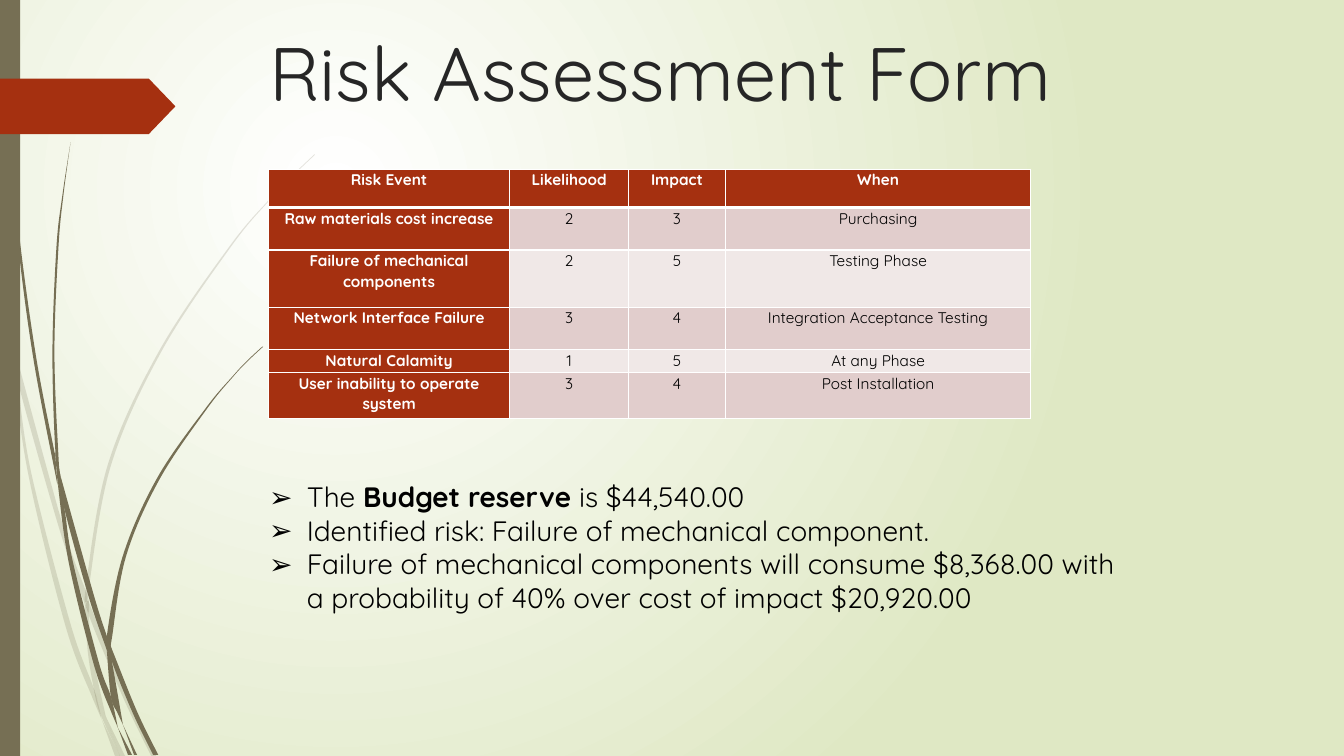
from pptx import Presentation
from pptx import util as u
from pptx.dml.color import RGBColor
from pptx.enum import shapes, text
from pptx.oxml import parse_xml
from pptx.oxml.ns import nsdecls, qn

GRID = u.Inches(0.01)
COLUMNS, ROWS = 1333, 750
FONT = "Quicksand"
WHITE = RGBColor(0xFF, 0xFF, 0xFF)
BLACK = RGBColor(0, 0, 0)
TITLE_INK = RGBColor(0x26, 0x26, 0x26)
PALE_GREEN = RGBColor(0xDF, 0xE8, 0xC4)
OLIVE = RGBColor(0x76, 0x6F, 0x54)
RUST = RGBColor(0xA5, 0x30, 0x10)
BANDS = [RGBColor(0xE1, 0xCD, 0xCC), RGBColor(0xF0, 0xE8, 0xE7)]

FAINT_WISPS = [
    ([(11, 350), (9, 322), (0, 282)], [(0, 299), (10, 344), (11, 350)]),
    ([(14, 345), (62, 520), (85, 586)], [(84, 599), (58, 522), (17, 376), (14, 345)]),
    ([(88, 596), (92, 607), (127, 692), (155, 750)], [(150, 750), (123, 694), (88, 610), (88, 596)]),
    ([(105, 711), (124, 750)], [(119, 750), (105, 711)]),
    ([(11, 350), (17, 376), (31, 469), (70, 619), (93, 683), (101, 714)],
     [(92, 693), (65, 621), (28, 470), (11, 350)]),
    ([(84, 599), (88, 610), (91, 646), (105, 711)], [(96, 692), (93, 683), (87, 646), (84, 599)]),
    ([(88, 596), (88, 584), (110, 462), (160, 349), (229, 245), (268, 198), (290, 175), (312, 154)],
     [(312, 153), (289, 175), (268, 197), (228, 244), (158, 348), (107, 461), (85, 584), (88, 596)]),
    ([(101, 714), (114, 750)], [(119, 750), (101, 714)]),
    ([(88, 608), (88, 596), (85, 586)], [(84, 599), (88, 608)]),
    ([(93, 683), (99, 707), (119, 750)], [(105, 711), (96, 692), (93, 683)]),
]
SOLID_WISPS = [
    ([(3, 0), (4, 48), (7, 110), (17, 233), (33, 355), (57, 481)],
     [(55, 453), (36, 355), (19, 232), (8, 109), (5, 48), (4, 0)]),
    ([(60, 472), (93, 590), (106, 631)], [(106, 645), (88, 592), (64, 505), (60, 472)]),
    ([(110, 641), (113, 649), (136, 706), (157, 749)], [(152, 749), (132, 708), (111, 656), (110, 641)]),
    ([(57, 477), (64, 505), (72, 556), (98, 657), (110, 691), (117, 722)],
     [(111, 708), (93, 659), (68, 557), (57, 477)]),
    ([(60, 472), (58, 453), (54, 349), (58, 245), (63, 193), (70, 141)],
     [(70, 141), (62, 193), (56, 245), (52, 349), (55, 449), (60, 472)]),
    ([(122, 719), (136, 749)], [(133, 749), (122, 719)]),
    ([(57, 477), (64, 505), (60, 472)], [(60, 472), (55, 449), (57, 477)]),
    ([(110, 641), (111, 633), (125, 552), (158, 476), (205, 406), (231, 374), (245, 359), (261, 344)],
     [(260, 344), (245, 358), (231, 373), (204, 405), (156, 474), (122, 551), (106, 631), (110, 641)]),
    ([(117, 722), (127, 749)], [(131, 749), (117, 722)]),
    ([(106, 645), (109, 651), (111, 656), (122, 719)], [(116, 706), (110, 691), (106, 645)]),
    ([(106, 645), (111, 656), (110, 641)], [(106, 631), (106, 645)]),
]

RISKS = [
    ["Risk Event", "Likelihood", "Impact", "When"],
    ["Raw materials cost increase", "2", "3", "Purchasing"],
    ["Failure of mechanical components", "2", "5", "Testing Phase"],
    ["Network Interface Failure", "3", "4", "Integration Acceptance Testing"],
    ["Natural Calamity", "1", "5", "At any Phase"],
    ["User inability to operate system", "3", "4", "Post Installation"],
]
RISK_COLUMNS = [239, 118, 96, 303]
RISK_ROWS = [38, 42, 57, 42, 23, 45]
BUDGET_NOTES = [
    [("The ", False), ("Budget reserve ", True), ("is $44,540.00", False)],
    [("Identified risk: Failure of mechanical component.", False)],
    [("Failure of mechanical components will consume $8,368.00 with a probability of 40% "
      "over cost of impact $20,920.00", False)],
]


def grid(*counts):
    """Turn counts of grid steps into lengths."""
    return [u.Emu(round(count * GRID)) for count in counts]


def set_font(paragraph, size, color, bold=None):
    """Set the common font of a paragraph."""
    font = paragraph.font
    font.name, font.size, font.bold = FONT, u.Pt(size), bold
    font.color.rgb = color


def paint(shape, color, alpha=None):
    """Fill a shape flatly, without line or shadow."""
    shape.shadow.inherit = False
    shape.fill.solid()
    shape.fill.fore_color.rgb = color
    shape.line.fill.background()
    if alpha:
        tint = shape.element.spPr.find(".//" + qn("a:srgbClr"))
        tint.append(parse_xml(f'<a:alpha {nsdecls("a")} val="{alpha * 1000}"/>'))


def paint_background(slide):
    """Fill the background with a circular gradient."""
    fill = slide.background.fill
    fill.gradient()
    for stop, color in zip(fill.gradient_stops, (WHITE, PALE_GREEN)):
        stop.color.rgb = color
    linear = next(slide.element.iter(qn("a:lin")))
    circle = parse_xml(f'<a:path {nsdecls("a")} path="circle">'
                       '<a:fillToRect l="50000" t="50000" r="100000" b="100000"/></a:path>')
    linear.getparent().replace(linear, circle)


def bend(segments, knots):
    """Turn the straight segments between knots into Bezier curves."""
    padded = [knots[0], *knots, knots[-1]]
    for segment, a, b, c, d in zip(segments, padded, padded[1:], padded[2:], padded[3:]):
        leave = [q + (r - p) / 6 for p, q, r in zip(a, b, c)]
        arrive = [q - (r - p) / 6 for p, q, r in zip(b, c, d)]
        points = "".join(f'<a:pt x="{round(x)}" y="{round(y)}"/>' for x, y in (leave, arrive, c))
        curve = parse_xml(f'<a:cubicBezTo {nsdecls("a")}>{points}</a:cubicBezTo>')
        segment.getparent().replace(segment, curve)


def add_wisp(slide, edges, alpha=None):
    """Draw a blade of grass between two curved edges."""
    start, *others = [grid(*point) for edge in edges for point in edge]
    builder = slide.shapes.build_freeform(*start, scale=1.0)
    builder.add_line_segments(others, close=False)
    shape = builder.convert_to_shape()
    outline = next(shape.element.iter(qn("a:path")))
    knots = [(int(point.get("x")), int(point.get("y"))) for point in outline.iter(qn("a:pt"))]
    segments = list(outline.iter(qn("a:lnTo")))
    turn = len(edges[0])
    bend(segments[:turn - 1], knots[:turn])
    bend(segments[turn:], knots[turn:])
    if knots[turn - 1] == knots[turn]:
        outline.remove(segments[turn - 1])
    outline.append(parse_xml(f'<a:close {nsdecls("a")}/>'))
    paint(shape, OLIVE, alpha)


def add_block(slide, kind, box, color):
    """Add a flat preset shape."""
    shape = slide.shapes.add_shape(kind, *grid(*box))
    paint(shape, color)
    return shape


def add_text_frame(slide, box):
    """Add a wrapping text box and return its frame."""
    frame = slide.shapes.add_textbox(*grid(*box)).text_frame
    frame.word_wrap = True
    return frame


def add_bullets(frame, items):
    """Write arrow-bulleted paragraphs of plain and bold runs."""
    indent, = grid(37.5)
    for index, item in enumerate(items):
        paragraph = frame.add_paragraph() if index else frame.paragraphs[0]
        set_font(paragraph, 20, BLACK)
        for words, bold in item:
            run = paragraph.add_run()
            run.text, run.font.bold = words, bold
        properties = paragraph._p.get_or_add_pPr()
        properties.set("marL", str(indent))
        properties.set("indent", str(-indent))
        for tag in (f'buFont {nsdecls("a")} typeface="{FONT}"', f'buChar {nsdecls("a")} char="\u27a2"'):
            properties.insert_element_before(parse_xml(f"<a:{tag}/>"), "a:tabLst", "a:defRPr", "a:extLst")


def set_borders(cell, bottom):
    """Draw white cell borders, with the given bottom width in points."""
    properties = cell._tc.get_or_add_tcPr()
    for index, (side, width) in enumerate(zip("LRTB", (1, 1, 1, bottom))):
        properties.insert(index, parse_xml(
            f'<a:ln{side} {nsdecls("a")} w="{u.Pt(width)}"><a:solidFill>'
            f'<a:srgbClr val="{WHITE}"/></a:solidFill></a:ln{side}>'))


def add_risk_table(slide, left, top):
    """Add the risk table with a heading row and heading column."""
    box = grid(left, top, sum(RISK_COLUMNS), sum(RISK_ROWS))
    table = slide.shapes.add_table(len(RISKS), len(RISK_COLUMNS), *box).table
    table.first_row = table.horz_banding = False
    for column, width in zip(table.columns, grid(*RISK_COLUMNS)):
        column.width = width
    for row, height in zip(table.rows, grid(*RISK_ROWS)):
        row.height = height
    for r, values in enumerate(RISKS):
        for c, value in enumerate(values):
            cell = table.cell(r, c)
            heading = r == 0 or c == 0
            cell.margin_left, cell.margin_right, cell.margin_top, cell.margin_bottom = grid(7, 7, 0, 0)
            cell.fill.solid()
            cell.fill.fore_color.rgb = RUST if heading else BANDS[(r - 1) % 2]
            set_borders(cell, 1 if r else 3)
            paragraph = cell.text_frame.paragraphs[0]
            paragraph.text = value
            paragraph.alignment = text.PP_ALIGN.CENTER
            paragraph.line_spacing = 1.06
            set_font(paragraph, 11, WHITE if heading else BLACK, heading)


def main():
    """Build the risk assessment slide."""
    presentation = Presentation()
    presentation.slide_width, presentation.slide_height = grid(COLUMNS, ROWS)
    slide = presentation.slides.add_slide(presentation.slide_layouts[6])
    paint_background(slide)
    for edges in FAINT_WISPS:
        add_wisp(slide, edges, alpha=20)
    for edges in SOLID_WISPS:
        add_wisp(slide, edges)
    add_block(slide, shapes.MSO_SHAPE.RECTANGLE, (0, 0, 20, ROWS), OLIVE)
    marker = add_block(slide, shapes.MSO_SHAPE.PENTAGON, (0, 78, 174, 55), RUST)
    marker.adjustments[0] = 0.48
    title = add_text_frame(slide, (257, 21, 975, 140)).paragraphs[0]
    title.text = "Risk Assessment Form"
    set_font(title, 54, TITLE_INK)
    add_bullets(add_text_frame(slide, (257, 471, 873, 178)), BUDGET_NOTES)
    add_risk_table(slide, 266.5, 168)
    presentation.save("out.pptx")


main()
